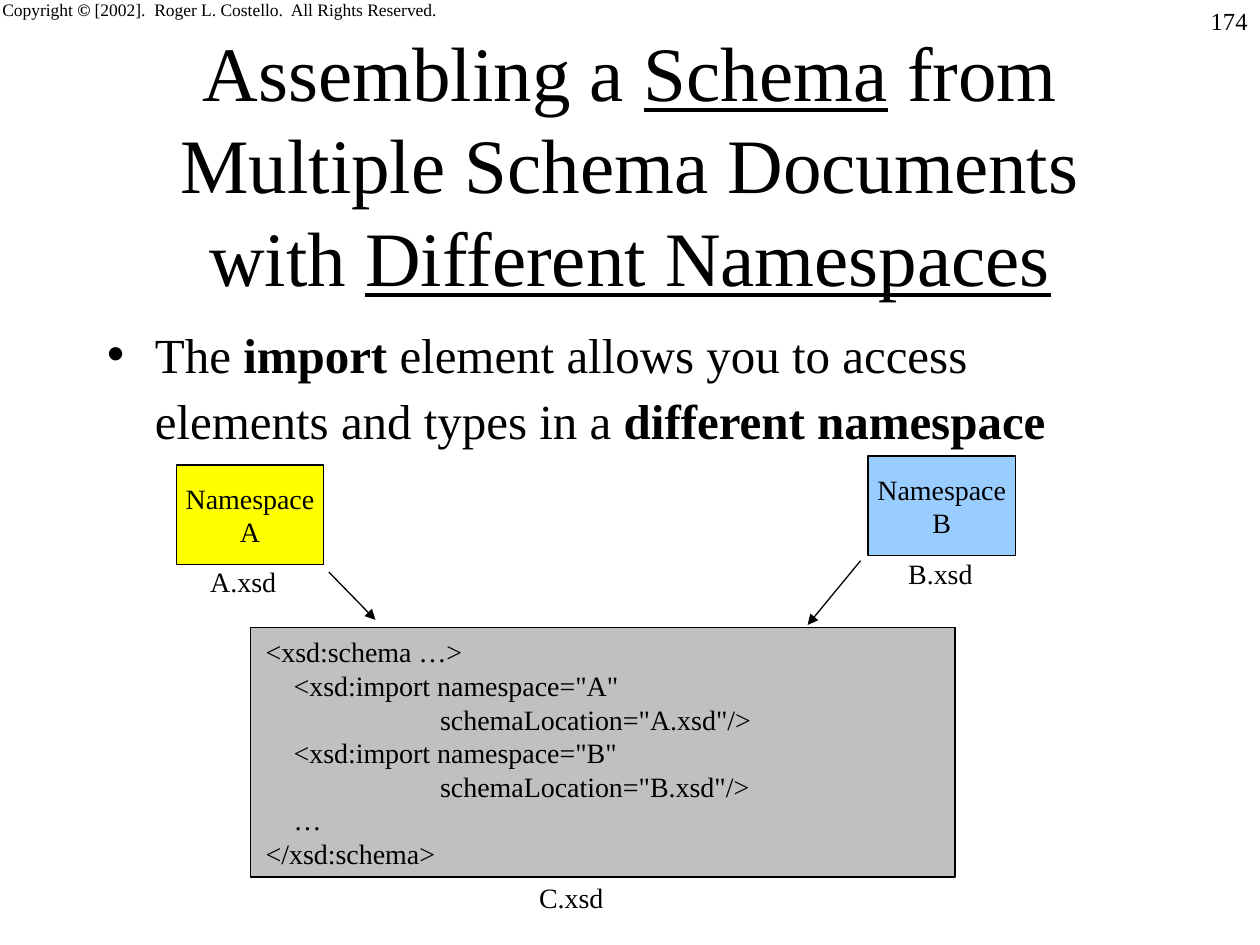
from lxml.etree import SubElement
from pptx import Presentation
from pptx.dml.color import RGBColor
from pptx.enum.shapes import MSO_CONNECTOR, MSO_SHAPE
from pptx.enum.text import MSO_ANCHOR, MSO_AUTO_SIZE, PP_ALIGN
from pptx.oxml.ns import qn
from pptx.util import Inches, Pt

THEME = {
    "font": "Times New Roman",
    "ink": "000000", "gray": "C0C0C0", "gold": "FFFF00", "blue": "99CCFF",
    "title": 44, "body": 28, "label": 16, "page": 14, "note": 10,
    "line": 0.75,
}
COLS, ROWS = 100, 75
WIDE, TALL = Inches(10), Inches(7.5)

TITLE = [[("Assembling a ", {}), ("Schema", {"underline": True}),
          (" from Multiple Schema Documents with ", {}),
          ("Different Namespaces", {"underline": True})]]
POINT = [[("The ", {}), ("import ", {"bold": True}),
          ("element allows you to access elements and types in a ", {}),
          ("different namespace", {"bold": True})]]
NOTE = [[("Copyright ", {}), ("©", {"bold": True}),
         (" [2002].  Roger L. Costello.  All Rights Reserved.", {})]]
CODE = """<xsd:schema …>
    <xsd:import namespace="A"
                         schemaLocation="A.xsd"/>
    <xsd:import namespace="B"
                         schemaLocation="B.xsd"/>
    …
</xsd:schema>"""

BOXES = [
    ((19.9, 49.8, 55.9, 19.8), "gray", ""),
    ((14, 36.9, 11.7, 7.9), "gold", "Namespace\nA"),
    ((68.9, 36.2, 11.7, 7.9), "blue", "Namespace\nB"),
]
LABELS = [
    ((20.1, 49.9, 40.5, 19.7), CODE),
    ((15.7, 44.3, 7.2, 3.7), "A.xsd"),
    ((71.1, 43.7, 7.1, 3.7), "B.xsd"),
    ((41.8, 69.4, 7.1, 3.7), "C.xsd"),
]
ARROWS = [(26.1, 45.4, 29.8, 49.2), (68.3, 44.5, 64.1, 49.6)]


def put(item, **values):
    for key, value in values.items():
        setattr(item, key, value)


def tint(name):
    return RGBColor.from_string(THEME[name])


def place(at):
    return [int(n * size) for n, size in
            zip(at, (WIDE / COLS, TALL / ROWS) * 2)]


def plain(text):
    return [[(line, {})] for line in text.split("\n")]


def write(shape, lines, size, align=PP_ALIGN.LEFT, **frame):
    text = shape.text_frame
    put(text, **{"auto_size": MSO_AUTO_SIZE.NONE, "word_wrap": False, **frame})
    for i, line in enumerate(lines):
        para = text.add_paragraph() if i else text.paragraphs[0]
        put(para, alignment=align, space_before=Pt(0))
        for words, style in line:
            run = para.add_run()
            run.text = words
            put(run.font, name=THEME["font"], size=Pt(THEME[size]), **style)
            run.font.color.rgb = tint("ink")


def outline(line):
    line.color.rgb = tint("ink")
    line.width = Pt(THEME["line"])


def fit(shape, at):
    put(shape, **dict(zip(("left", "top", "width", "height"), place(at))))


deck = Presentation()
put(deck, slide_width=WIDE, slide_height=TALL)
slide = deck.slides.add_slide(deck.slide_layouts[1])
shapes = slide.shapes
title, body = slide.placeholders

fit(title, (7.5, 6.7, 85, 12.5))
write(title, TITLE, "title", PP_ALIGN.CENTER,
      word_wrap=True, vertical_anchor=MSO_ANCHOR.MIDDLE)

fit(body, (7.5, 24.7, 85, 11.8))
write(body, POINT, "body", word_wrap=True)
para = body.text_frame.paragraphs[0]
para.line_spacing = 1.12
props = para._p.get_or_add_pPr()
props.set("marL", str(Inches(0.38)))
props.set("indent", str(-Inches(0.38)))
SubElement(props, qn("a:buChar")).set("char", "•")

note = shapes.add_textbox(*place((-0.8, -2.5, 37.3, 5)))
write(note, NOTE, "note", vertical_anchor=MSO_ANCHOR.BOTTOM,
      margin_bottom=Inches(0.09))
page = shapes.add_textbox(*place((79.2, 0, 20.8, 5)))
write(page, plain("174"), "page", PP_ALIGN.RIGHT, word_wrap=True)

for at, fill, text in BOXES:
    box = shapes.add_shape(MSO_SHAPE.RECTANGLE, *place(at))
    box.shadow.inherit = False
    box.fill.solid()
    box.fill.fore_color.rgb = tint(fill)
    outline(box.line)
    if text:
        write(box, plain(text), "label", PP_ALIGN.CENTER,
              vertical_anchor=MSO_ANCHOR.MIDDLE)

for at, text in LABELS:
    write(shapes.add_textbox(*place(at)), plain(text), "label")

for ends in ARROWS:
    arrow = shapes.add_connector(MSO_CONNECTOR.STRAIGHT, *place(ends))
    outline(arrow.line)
    SubElement(arrow.line._get_or_add_ln(), qn("a:tailEnd")).set(
        "type", "triangle")
    SubElement(arrow._element.spPr, qn("a:effectLst"))

deck.save("out.pptx")
